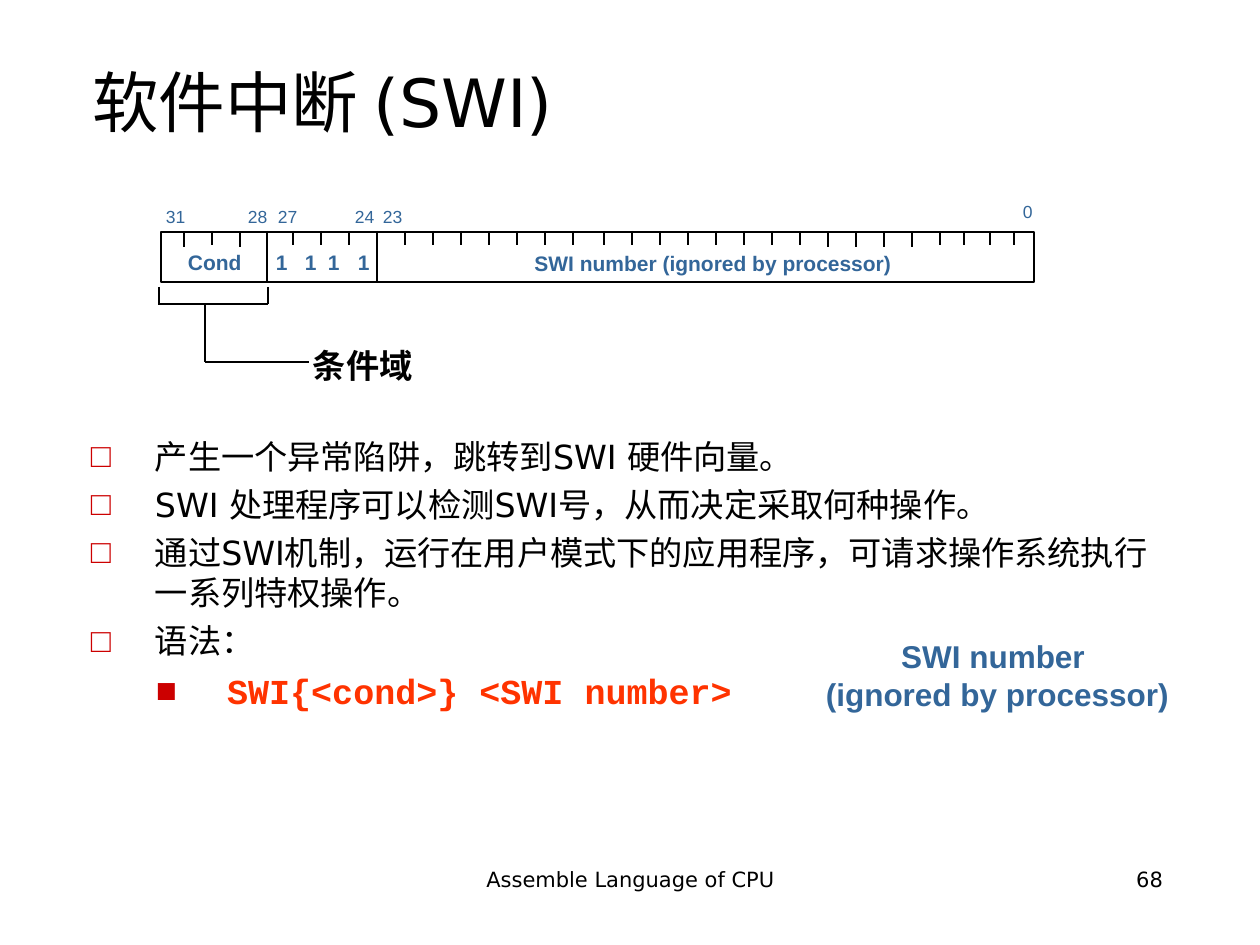
from lxml import etree
from pptx import Presentation, util as u
from pptx.dml.color import RGBColor
from pptx.enum import shapes, text
from pptx.oxml.ns import qn

SCALE = 914400 / 126
COLORS = {"black": "000000", "blue": "336699", "red": "CC0000", "orange": "FF3300"}
LEFT, CENTER, RIGHT = text.PP_ALIGN.LEFT, text.PP_ALIGN.CENTER, text.PP_ALIGN.RIGHT

BODY = {"name": "DejaVu Sans", "size": 19, "color": "black"}
FOOTER = {**BODY, "size": 12}
TITLE = {**BODY, "size": 38}
BIT = {"name": "Arial", "size": 10, "color": "blue"}
FIELD = {**BIT, "size": 12, "bold": True}
NOTE = {**FIELD, "size": 18}
CAPTION = {**FIELD, "size": 19, "color": "black"}
CODE = {"name": "Courier New", "size": 20, "color": "orange", "bold": True}

POINTS = [
    "产生一个异常陷阱，跳转到SWI 硬件向量。",
    "SWI 处理程序可以检测SWI号，从而决定采取何种操作。",
    "通过SWI机制，运行在用户模式下的应用程序，可请求操作系统执行一系列特权操作。",
    "语法：",
]
BIT_LABELS = [("31", 157, 202), ("28", 239, 202), ("27", 269, 202),
              ("24", 346, 202), ("23", 374, 202), ("0", 1014, 197)]
TICKS = [*range(184, 241, 28), *range(293, 350, 28), *range(405, 574, 28),
         *range(604, 941, 28), 964, 990, 1014]
LOW_TICKS = {184, 240, 828, 856, 884, 912}
BRACKET = [(159, 287, 159, 304), (268, 287, 268, 304), (268, 304, 158, 304),
           (205, 304, 205, 362), (205, 362, 309, 362)]


def px(value):
    return u.Emu(round(value * SCALE))


def paint(color):
    return RGBColor.from_string(COLORS[color])


def format_font(font, style):
    for name, value in style.items():
        if name == "color":
            font.color.rgb = paint(value)
        else:
            setattr(font, name, u.Pt(value) if name == "size" else value)


def add_span(para, words, style):
    span = para.add_run()
    span.text = words
    format_font(span.font, style)


def format_frame(frame, side=13, edge=6, wrap=True, anchor=text.MSO_ANCHOR.TOP):
    values = {"margin_left": px(side), "margin_right": px(side),
              "margin_top": px(edge), "margin_bottom": px(edge),
              "word_wrap": wrap, "vertical_anchor": anchor,
              "auto_size": text.MSO_AUTO_SIZE.NONE}
    for name, value in values.items():
        setattr(frame, name, value)


def add_text(page, place, lines, style, align=LEFT, spacing=None, **frame_format):
    frame = page.shapes.add_textbox(*map(px, place)).text_frame
    format_frame(frame, **frame_format)
    for index, line in enumerate(lines):
        para = frame.paragraphs[0] if index == 0 else frame.add_paragraph()
        para.alignment = align
        para.line_spacing = spacing
        add_span(para, line, style)
    return frame


def add_line(page, x1, y1, x2, y2):
    line = page.shapes.add_connector(shapes.MSO_CONNECTOR.STRAIGHT, *map(px, (x1, y1, x2, y2)))
    line.line.color.rgb = paint("black")
    line.line.width = u.Pt(1)
    etree.SubElement(line._element.spPr, qn("a:effectLst"))


def add_bullet(para, mark, margin, hanging):
    properties = para._p.get_or_add_pPr()
    properties.set("marL", str(px(margin)))
    properties.set("indent", str(-px(hanging)))
    color = etree.SubElement(properties, qn("a:buClr"))
    etree.SubElement(color, qn("a:srgbClr"), val=COLORS["red"])
    etree.SubElement(properties, qn("a:buFont"), typeface="Arial")
    etree.SubElement(properties, qn("a:buChar"), char=mark)


def add_tabs(para, stops):
    tabs = etree.SubElement(para._p.get_or_add_pPr(), qn("a:tabLst"))
    for stop in stops:
        etree.SubElement(tabs, qn("a:tab"), pos=str(px(stop)), algn="l")


def add_title(page, words):
    title = page.shapes.title
    title.left, title.top, title.width, title.height = map(px, (79, 42, 1103, 105))
    format_frame(title.text_frame, anchor=text.MSO_ANCHOR.BOTTOM)
    para = title.text_frame.paragraphs[0]
    para.alignment = LEFT
    add_span(para, words, TITLE)


def add_points(page):
    frame = add_text(page, (78, 430, 1103, 396), POINTS, BODY)
    for index, para in enumerate(frame.paragraphs):
        add_bullet(para, "□", 64, 64)
        if index:
            para.space_before = u.Pt(4.8)
    syntax = frame.add_paragraph()
    syntax.level = 1
    add_bullet(syntax, "■", 125, 60)
    syntax.space_before = u.Pt(5)
    add_span(syntax, " ", {**BODY, "size": 20})
    add_span(syntax, "SWI{<cond>} <SWI number>", CODE)


def add_instruction_word(page):
    """Draw the 32-bit instruction word with its bit ticks and fields."""
    for x in TICKS:
        top = 233 if x in LOW_TICKS else 231
        add_line(page, x, top, x, top + 14)
    for x in (267, 377):
        add_line(page, x, 231, x, 283)
    for label, left, top in BIT_LABELS:
        width = 37 if len(label) == 2 else 28
        add_text(page, (left, top, width, 28), [label], BIT, side=9, edge=4, wrap=False)
    fields = add_text(page, (161, 244, 249, 33), ["\tCond\t1\t1\t1\t1"], FIELD,
                      spacing=1.04, side=9, edge=4)
    add_tabs(fields.paragraphs[0], (18, 106, 135, 158, 188))
    add_text(page, (393, 246, 640, 33), ["SWI number (ignored by processor)"], FIELD,
             CENTER, 1.04, side=9, edge=4)
    outline = page.shapes.add_shape(shapes.MSO_SHAPE.RECTANGLE, *map(px, (161, 232, 873, 50)))
    outline.shadow.inherit = False
    outline.fill.background()
    outline.line.color.rgb = paint("black")
    outline.line.width = u.Pt(1)


def add_condition_callout(page):
    for ends in BRACKET:
        add_line(page, *ends)
    add_text(page, (304, 340, 328, 48), ["条件域"], CAPTION, spacing=1.02, side=9, edge=4)


def main():
    deck = Presentation()
    deck.slide_width, deck.slide_height = px(1260), px(945)
    page = deck.slides.add_slide(deck.slide_layouts[5])
    add_text(page, (431, 861, 399, 66), ["Assemble Language of CPU"], FOOTER, CENTER)
    add_text(page, (903, 861, 273, 66), ["68"], FOOTER, RIGHT)
    add_title(page, "软件中断 (SWI)")
    add_points(page)
    add_instruction_word(page)
    add_condition_callout(page)
    add_text(page, (809, 631, 377, 88), ["SWI number ", "(ignored by processor)"], NOTE, CENTER)
    deck.save("out.pptx")


if __name__ == "__main__":
    main()
